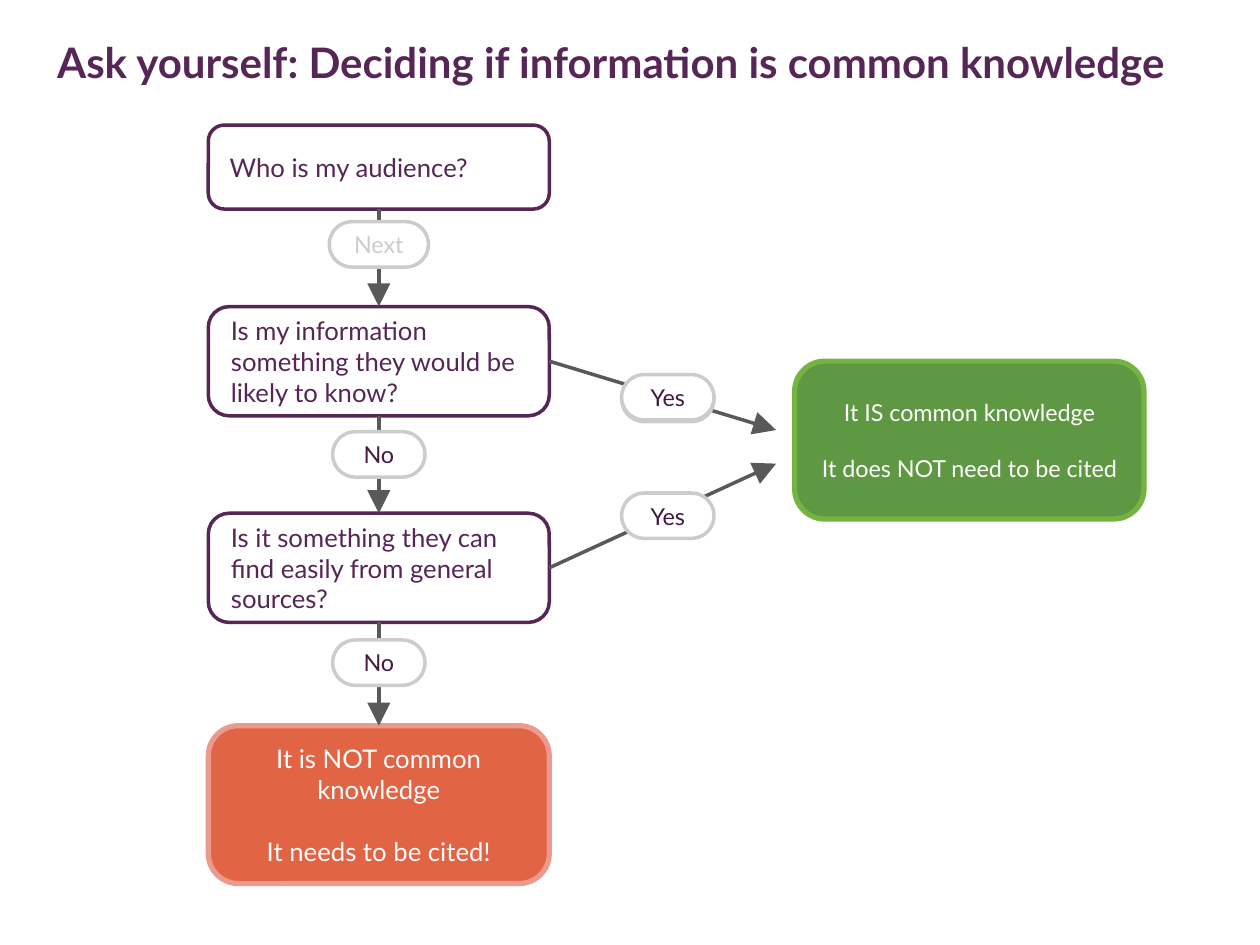
from dataclasses import dataclass

from lxml import etree
from pptx import Presentation
from pptx.dml.color import RGBColor
from pptx.enum.shapes import MSO_CONNECTOR, MSO_SHAPE
from pptx.enum.text import MSO_ANCHOR, MSO_AUTO_SIZE, PP_ALIGN
from pptx.oxml.ns import qn
from pptx.util import Inches, Pt

ROUNDED = MSO_SHAPE.ROUNDED_RECTANGLE
STRAIGHT = MSO_CONNECTOR.STRAIGHT
LEFT, CENTER = PP_ALIGN.LEFT, PP_ALIGN.CENTER
TOP, MIDDLE = MSO_ANCHOR.TOP, MSO_ANCHOR.MIDDLE
NO_AUTOFIT = MSO_AUTO_SIZE.NONE
TOP_SIDE, BOTTOM_SIDE, RIGHT_SIDE = 0, 2, 3

# Grid of 75 columns by 56.25 rows
COLUMNS, ROWS = 75, 56.25
CELL = Inches(0.1)
FLOW_LEFT, BOX_WIDTH = 12.4, 20.3
FLOW_CENTER = FLOW_LEFT + BOX_WIDTH / 2
YES_CENTER = 39.75
OUTCOME_HEIGHT = 9.4
PILL_WIDTH, PILL_HEIGHT = 5.5, 2.7


@dataclass(frozen=True)
class Theme:
    font: str = "Lato"
    plum: str = "552656"
    dark_plum: str = "411A41"
    white: str = "FFFFFF"
    gray: str = "CCCCCC"
    arrow: str = "595959"
    red: str = "E16445"
    pink: str = "EC998E"
    green: str = "5F9842"
    lime: str = "75B443"
    title_size: int = 18
    box_size: int = 11
    small_size: int = 10
    line: float = 1.5
    heavy_line: float = 2.25


THEME = Theme()


def grid(*cells):
    return [round(cell * CELL) for cell in cells]


def color(value):
    return RGBColor.from_string(value)


def write_text(shape, text, size, text_color, alignment, anchor=MIDDLE, gap=0, bold=False):
    """Fill a shape with text; each line of the string is a paragraph."""
    frame = shape.text_frame
    frame.text = text
    frame.word_wrap = True
    frame.auto_size = NO_AUTOFIT
    frame.vertical_anchor = anchor
    frame.margin_left = frame.margin_right = CELL
    frame.margin_top = frame.margin_bottom = CELL
    for index, paragraph in enumerate(frame.paragraphs):
        paragraph.alignment = alignment
        paragraph.space_before = Pt(gap if index else 0)
        for run in paragraph.runs:
            run.font.name = THEME.font
            run.font.size = Pt(size)
            run.font.bold = bold
            run.font.color.rgb = color(text_color)


def add_title(slide, text):
    title = slide.shapes.title
    title.left, title.top, title.width, title.height = grid(2.4, 1.2, 71.1, 4.8)
    write_text(title, text, THEME.title_size, THEME.plum, LEFT, TOP, bold=True)


def add_rounded(slide, left, top, width, height, fill, line, line_width, corner=0.191):
    shape = slide.shapes.add_shape(ROUNDED, *grid(left, top, width, height))
    shape.adjustments[0] = corner
    shape.shadow.inherit = False
    shape.fill.solid()
    shape.fill.fore_color.rgb = color(fill)
    shape.line.color.rgb = color(line)
    shape.line.width = Pt(line_width)
    return shape


def add_question(slide, top, height, text):
    box = add_rounded(slide, FLOW_LEFT, top, BOX_WIDTH, height,
                      THEME.white, THEME.plum, THEME.line)
    write_text(box, text, THEME.box_size, THEME.plum, LEFT)
    return box


def add_outcome(slide, left, top, width, fill, line, text, size):
    box = add_rounded(slide, left, top, width, OUTCOME_HEIGHT, fill, line, THEME.heavy_line)
    write_text(box, text, size, THEME.white, CENTER, gap=size * 1.2)
    return box


def add_pill(slide, center, top, text, text_color=THEME.dark_plum, width=PILL_WIDTH):
    pill = add_rounded(slide, center - width / 2, top, width, PILL_HEIGHT,
                       THEME.white, THEME.gray, THEME.line, corner=0.5)
    write_text(pill, text, THEME.small_size, text_color, CENTER)
    pill.text_frame.word_wrap = False


def add_arrow(slide, source, side, target=None, end=(0, 0)):
    """Arrow from a box side to the top of a target box or to a grid point."""
    end_x, end_y = grid(*end)
    arrow = slide.shapes.add_connector(STRAIGHT, source.left, source.top, end_x, end_y)
    arrow.begin_connect(source, side)
    if target is not None:
        arrow.end_connect(target, TOP_SIDE)
    arrow.line.color.rgb = color(THEME.arrow)
    arrow.line.width = Pt(THEME.line)
    line = arrow.line._get_or_add_ln()
    etree.SubElement(line, qn("a:tailEnd"), type="triangle", w="lg", len="lg")
    etree.SubElement(arrow._element.spPr, qn("a:effectLst"))


def main():
    presentation = Presentation()
    presentation.slide_width, presentation.slide_height = grid(COLUMNS, ROWS)
    slide = presentation.slides.add_slide(presentation.slide_layouts[5])
    slide.background.fill.solid()
    slide.background.fill.fore_color.rgb = color(THEME.white)
    add_title(slide, "Ask yourself: Deciding if information is common knowledge")

    # Questions and outcomes
    audience = add_question(slide, 7.45, 5, "Who is my audience?")
    known = add_question(slide, 18.25, 6.5,
                         "Is my information something they would be likely to know?")
    findable = add_question(slide, 30.55, 6.5,
                            "Is it something they can find easily from general sources?")
    cite = add_outcome(slide, FLOW_LEFT, 43.2, BOX_WIDTH, THEME.red, THEME.pink,
                       "It is NOT common knowledge\nIt needs to be cited!", THEME.box_size)
    add_outcome(slide, 47.3, 21.5, 20.8, THEME.green, THEME.lime,
                "It IS common knowledge\nIt does NOT need to be cited", THEME.small_size)

    # Arrows down the flow and across to the green outcome
    steps = [audience, known, findable, cite]
    for source, target in zip(steps, steps[1:]):
        add_arrow(slide, source, BOTTOM_SIDE, target)
    add_arrow(slide, known, RIGHT_SIDE, end=(46.2, 25.6))
    add_arrow(slide, findable, RIGHT_SIDE, end=(46.2, 27.6))

    # Answers on the arrows; the upper "Yes" is a stack of two pills
    add_pill(slide, FLOW_CENTER, 13.2, "Next", THEME.gray, width=5.9)
    for top in (25.7, 38.1):
        add_pill(slide, FLOW_CENTER, top, "No")
    for top in (22.4, 22.3, 29.35):
        add_pill(slide, YES_CENTER, top, "Yes")

    presentation.save("out.pptx")


if __name__ == "__main__":
    main()
